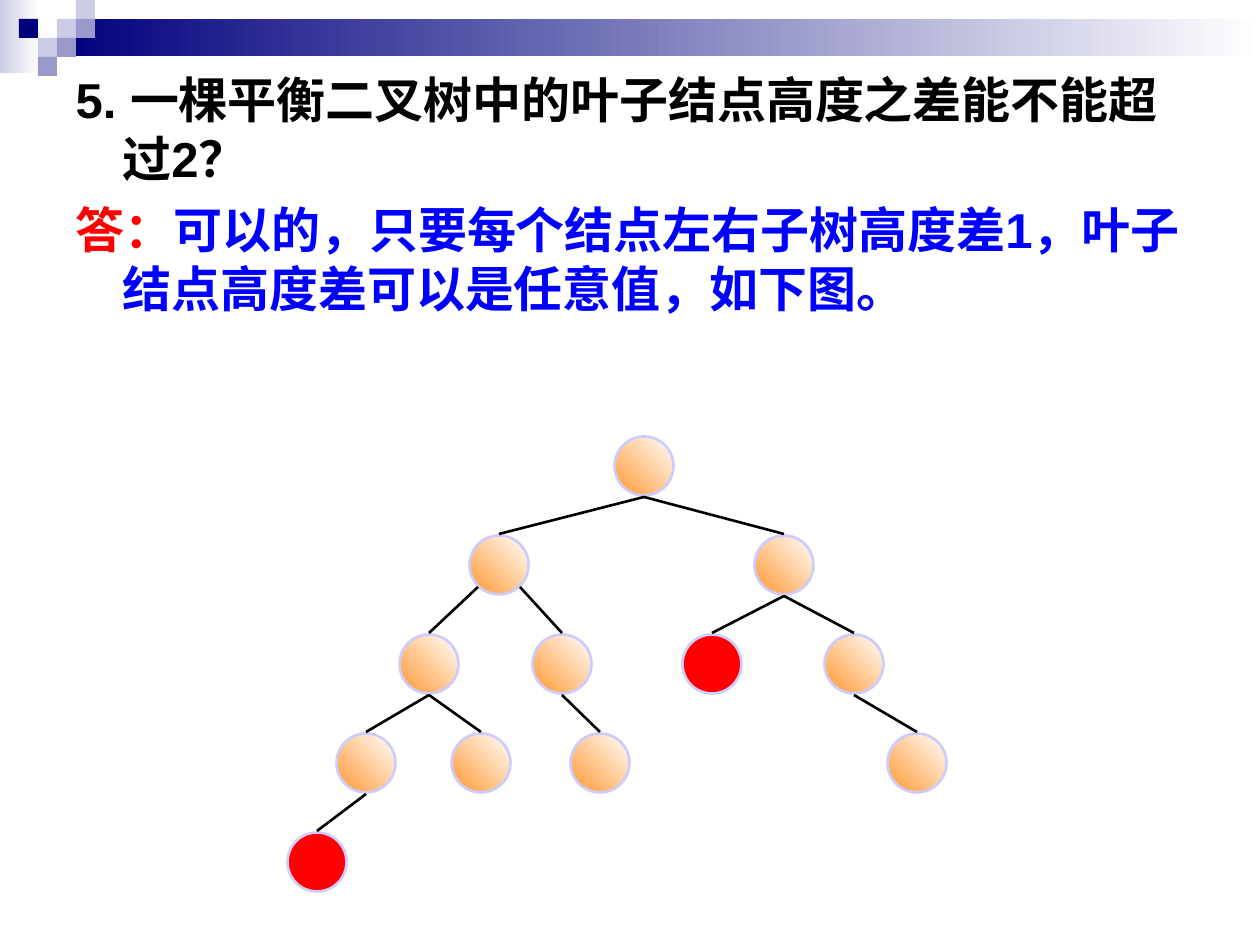
import pptx
import pptx.util
import pptx.dml.color
import pptx.enum.shapes
import pptx.enum.text
import pptx.oxml.ns
import lxml.etree

RGB = pptx.dml.color.RGBColor
NAVY = RGB(0x00, 0x00, 0x7D)
MIST = RGB(0xCC, 0xCC, 0xE6)
LILAC = RGB(0x99, 0x99, 0xCC)
RIM = RGB(0xCC, 0xCC, 0xFF)
ORANGE = RGB(0xFF, 0x99, 0x33)
RED = RGB(0xFF, 0x00, 0x00)
BLUE = RGB(0x00, 0x00, 0xFF)
BLACK = RGB(0x00, 0x00, 0x00)
WHITE = RGB(0xFF, 0xFF, 0xFF)

KIND = pptx.enum.shapes.MSO_SHAPE
QN = pptx.oxml.ns.qn
SCALE = 914400 / 126


def px(n):
    return pptx.util.Emu(round(n * SCALE))


def draw(kind, x, y, w, h, color, fade=None):
    """Add a shape; with fade, blend color to white at that angle."""
    shape = slide.shapes.add_shape(kind, px(x), px(y), px(w), px(h))
    shape.shadow.inherit = False
    shape.line.fill.background()
    if fade is None:
        shape.fill.solid()
        shape.fill.fore_color.rgb = color
    else:
        shape.fill.gradient()
        shape.fill.gradient_angle = fade
        for stop, tint in zip(shape.fill.gradient_stops, (color, WHITE)):
            stop.color.rgb = tint
    return shape


deck = pptx.Presentation()
deck.slide_width, deck.slide_height = px(1260), px(945)
slide = deck.slides.add_slide(deck.slide_layouts[1])
title = slide.shapes.title.element
title.getparent().remove(title)

# Header bars and mosaic of squares
draw(KIND.RECTANGLE, 0, 0, 39, 73, MIST, 0)
draw(KIND.RECTANGLE, 57, 19, 1203, 37, NAVY, 0)
CELL = 19
tiles = [(3, 1, MIST), (4, 0, MIST), (4, 1, LILAC), (2, 2, MIST),
         (1, 1, NAVY), (3, 2, LILAC), (2, 3, LILAC)]
for col, row, color in tiles:
    draw(KIND.RECTANGLE, col * CELL, row * CELL, CELL, CELL, color)

# Question and answer
body = slide.placeholders[1]
body.left, body.top, body.width, body.height = px(63), px(63), px(1134), px(882)
frame = body.text_frame
frame.word_wrap = True
frame.auto_size = pptx.enum.text.MSO_AUTO_SIZE.NONE
lines = [
    [("5. 一棵平衡二叉树中的叶子结点高度之差能不能超过2？", BLACK)],
    [("答：", RED),
     ("可以的，只要每个结点左右子树高度差1，叶子结点高度差可以是任意值，如下图。", BLUE)],
]
for i, parts in enumerate(lines):
    para = frame.add_paragraph() if i else frame.paragraphs[0]
    props = para._p.get_or_add_pPr()
    props.set("marL", str(px(47)))
    props.set("indent", str(px(-47)))
    lxml.etree.SubElement(props, QN("a:buNone"))
    para.space_before = pptx.util.Pt(7 if i else 0)
    for text, color in parts:
        run = para.add_run()
        run.text = text
        run.font.name = "Arial"
        run.font.size = pptx.util.Pt(28)
        run.font.bold = True
        run.font.color.rgb = color

# Tree: each name is the path from the root, each value (centre x, fill)
nodes = {
    "": (644, ORANGE),
    "L": (499, ORANGE), "R": (784, ORANGE),
    "LL": (429, ORANGE), "LR": (562, ORANGE),
    "RL": (712, RED), "RR": (854, ORANGE),
    "LLL": (366, ORANGE), "LLR": (481, ORANGE),
    "LRR": (600, ORANGE), "RRR": (917, ORANGE),
    "LLLL": (317, RED),
}
TOP, STEP, SIZE, REACH = 466, 99, 59, 31

for name, (x, color) in nodes.items():
    y = TOP + len(name) * STEP
    fade = 45 if color == ORANGE else None
    node = draw(KIND.OVAL, x - SIZE / 2, y - SIZE / 2, SIZE, SIZE, color, fade)
    node.line.color.rgb = RIM
    node.line.width = pptx.util.Pt(1.5)
    if not name:
        continue

    # Edge from the parent; those of the left child leave at its sides
    root = name[:-1]
    dx, dy = 0, REACH
    if root == "L":
        dx, dy = (-21 if name[-1] == "L" else 21), 22
    edge = slide.shapes.add_connector(
        pptx.enum.shapes.MSO_CONNECTOR.STRAIGHT,
        px(nodes[root][0] + dx), px(y - STEP + dy), px(x), px(y - REACH))
    edge.line.color.rgb = BLACK
    edge.line.width = pptx.util.Pt(1.5)
    lxml.etree.SubElement(edge._element.spPr, QN("a:effectLst"))

deck.save("out.pptx")
